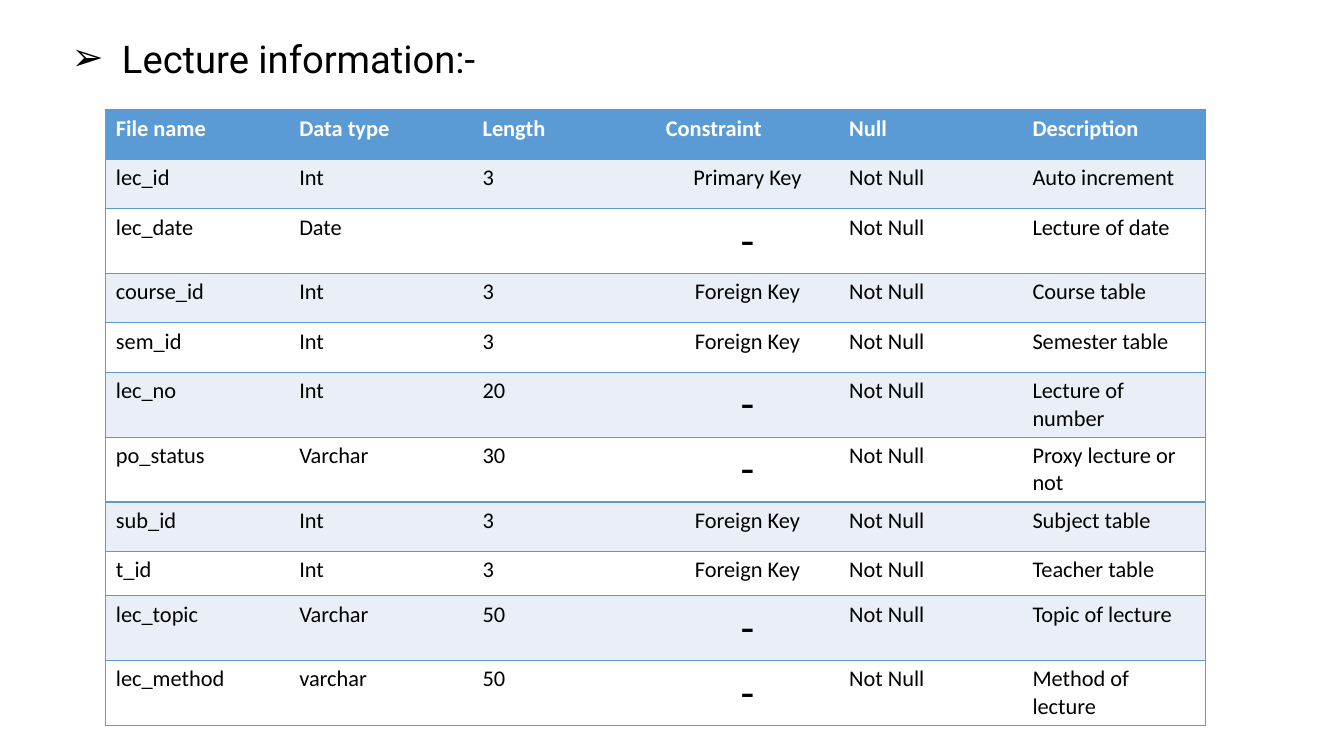
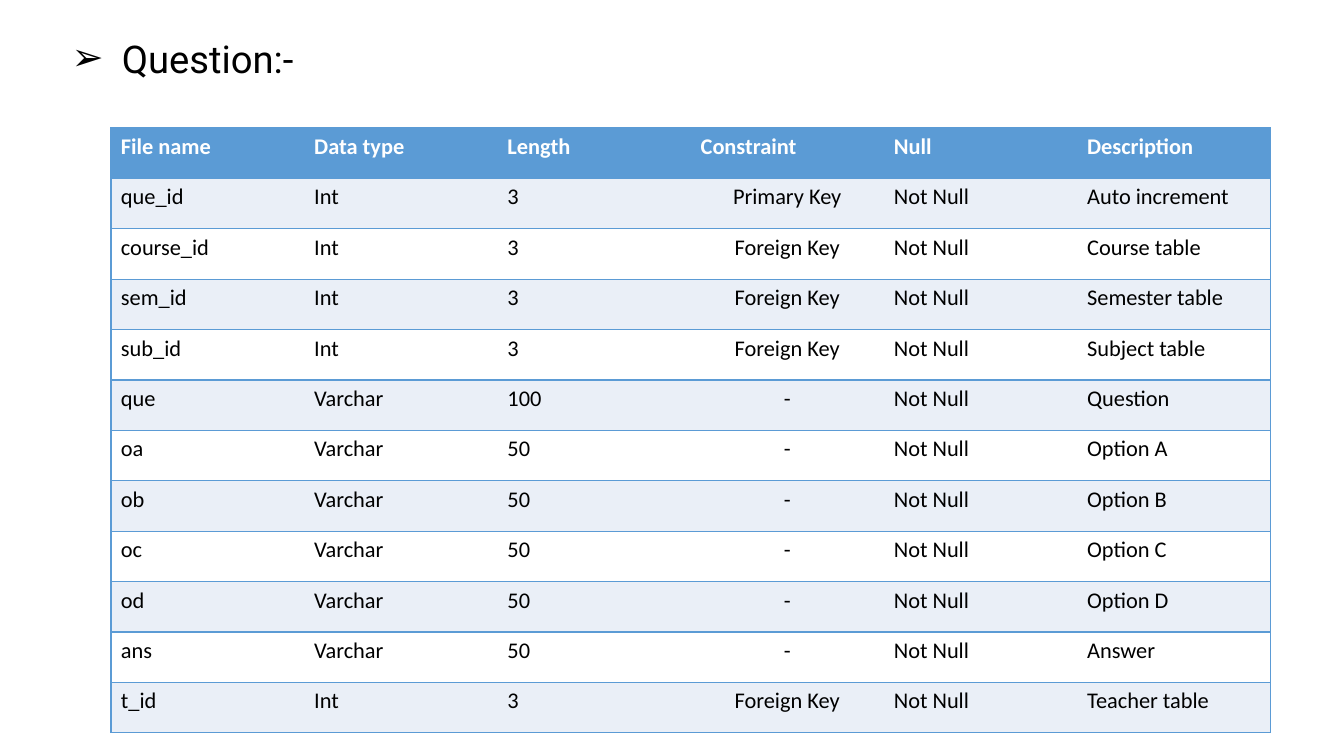
"""Build two data dictionary slides, each a bulleted title over a table."""
import dataclasses

import pptx
import pptx.dml.color
import pptx.enum.text
import pptx.oxml
import pptx.oxml.ns
import pptx.util

HEADER = ("File name", "Data type", "Length", "Constraint", "Null", "Description")
CONSTRAINT_COLUMN = HEADER.index("Constraint")

PAGES = [
    {
        "title": "Lecture information:-",
        "left": 1.05, "top": 1.09, "width": 10.91,
        "row_height": 0.49, "special_heights": {8: 0.44},
        "dash_size": 32,
        "rows": [
            ("lec_id", "Int", "3", "Primary Key", "Not Null", "Auto increment"),
            ("lec_date", "Date", "", "-", "Not Null", "Lecture of date"),
            ("course_id", "Int", "3", "Foreign Key", "Not Null", "Course table"),
            ("sem_id", "Int", "3", "Foreign Key", "Not Null", "Semester table"),
            ("lec_no", "Int", "20", "-", "Not Null", "Lecture of number"),
            ("po_status", "Varchar", "30", "-", "Not Null", "Proxy lecture or not"),
            ("sub_id", "Int", "3", "Foreign Key", "Not Null", "Subject table"),
            ("t_id", "Int", "3", "Foreign Key", "Not Null", "Teacher table"),
            ("lec_topic", "Varchar", "50", "-", "Not Null", "Topic of lecture"),
            ("lec_method", "varchar", "50", "-", "Not Null", "Method of lecture"),
        ],
    },
    {
        "title": "Question:-",
        "left": 1.1, "top": 1.27, "width": 11.5,
        "row_height": 0.5, "special_heights": {},
        "dash_size": 16,
        "rows": [
            ("que_id", "Int", "3", "Primary Key", "Not Null", "Auto increment"),
            ("course_id", "Int", "3", "Foreign Key", "Not Null", "Course table"),
            ("sem_id", "Int", "3", "Foreign Key", "Not Null", "Semester table"),
            ("sub_id", "Int", "3", "Foreign Key", "Not Null", "Subject table"),
            ("que", "Varchar", "100", "-", "Not Null", "Question"),
            ("oa", "Varchar", "50", "-", "Not Null", "Option A"),
            ("ob", "Varchar", "50", "-", "Not Null", "Option B"),
            ("oc", "Varchar", "50", "-", "Not Null", "Option C"),
            ("od", "Varchar", "50", "-", "Not Null", "Option D"),
            ("ans", "Varchar", "50", "-", "Not Null", "Answer"),
            ("t_id", "Int", "3", "Foreign Key", "Not Null", "Teacher table"),
        ],
    },
]


@dataclasses.dataclass(frozen=True)
class Theme:
    accent: str = "5B9BD5"
    band: str = "EAEFF7"
    white: str = "FFFFFF"
    black: str = "000000"
    title_font: str = "Roboto"
    table_font: str = "Calibri"
    title_size: float = 27.3
    table_size: float = 16
    border_width: float = 1
    title_box: tuple = (0.61, 0.37, 11.5, 0.49)
    title_indent: float = 0.5
    bullet: str = "➢"
    plain_table_style: str = "{2D5ABB26-0587-4C30-8999-92F81FD0307C}"


THEME = Theme()


def inches(*values):
    return [pptx.util.Inches(value) for value in values]


def add_span(para, text, font, size, color, bold=False):
    span = para.add_run()
    span.text = text
    span.font.name = font
    span.font.size = pptx.util.Pt(size)
    span.font.bold = bold
    span.font.color.rgb = pptx.dml.color.RGBColor.from_string(color)


def add_title(page, text):
    box = page.shapes.title
    box.left, box.top, box.width, box.height = inches(*THEME.title_box)
    frame = box.text_frame
    frame.word_wrap = True
    frame.auto_size = pptx.enum.text.MSO_AUTO_SIZE.NONE
    frame.vertical_anchor = pptx.enum.text.MSO_ANCHOR.MIDDLE
    para = frame.paragraphs[0]
    properties = para._p.get_or_add_pPr()
    indent = pptx.util.Inches(THEME.title_indent)
    properties.set("marL", str(indent))
    properties.set("indent", str(-indent))
    namespace = pptx.oxml.ns.nsdecls("a")
    properties.append(pptx.oxml.parse_xml(f'<a:buFont {namespace} typeface="Arial"/>'))
    properties.append(pptx.oxml.parse_xml(f'<a:buChar {namespace} char="{THEME.bullet}"/>'))
    para.alignment = pptx.enum.text.PP_ALIGN.LEFT
    para.line_spacing = 0.8
    add_span(para, text, THEME.title_font, THEME.title_size, THEME.black)


def set_borders(cell, sides):
    properties = cell._tc.get_or_add_tcPr()
    width = pptx.util.Pt(THEME.border_width)
    for position, side in enumerate(sides):
        properties.insert(position, pptx.oxml.parse_xml(
            f'<a:ln{side} {pptx.oxml.ns.nsdecls("a")} w="{width}"><a:solidFill>'
            f'<a:srgbClr val="{THEME.accent}"/></a:solidFill></a:ln{side}>'))


def fill_cell(cell, text, row, column, dash_size):
    heading = row == 0
    fill = THEME.accent if heading else (THEME.white, THEME.band)[row % 2]
    cell.fill.solid()
    cell.fill.fore_color.rgb = pptx.dml.color.RGBColor.from_string(fill)
    outer = {0: "L", len(HEADER) - 1: "R"}.get(column, "")
    set_borders(cell, outer + "TB")
    para = cell.text_frame.paragraphs[0]
    if column == CONSTRAINT_COLUMN and not heading:
        para.alignment = pptx.enum.text.PP_ALIGN.CENTER
    if text:
        add_span(para, text, THEME.table_font,
                 dash_size if text == "-" else THEME.table_size,
                 THEME.white if heading else THEME.black, heading)


def add_dictionary(page, content):
    rows = [HEADER, *content["rows"]]
    heights = [content["special_heights"].get(row, content["row_height"])
               for row in range(len(rows))]
    frame = page.shapes.add_table(
        len(rows), len(HEADER),
        *inches(content["left"], content["top"], content["width"], sum(heights)))
    table = frame.table
    table.first_row = table.horz_banding = False
    style = table._tbl.tblPr.find(pptx.oxml.ns.qn("a:tableStyleId"))
    style.text = THEME.plain_table_style
    for row, values in enumerate(rows):
        table.rows[row].height = pptx.util.Inches(heights[row])
        for column, text in enumerate(values):
            fill_cell(table.cell(row, column), text, row, column, content["dash_size"])


def main():
    deck = pptx.Presentation()
    deck.slide_width, deck.slide_height = inches(13.33, 7.5)
    title_only = deck.slide_layouts.get_by_name("Title Only")
    for content in PAGES:
        page = deck.slides.add_slide(title_only)
        add_title(page, content["title"])
        add_dictionary(page, content)
    deck.save("out.pptx")


if __name__ == "__main__":
    main()
